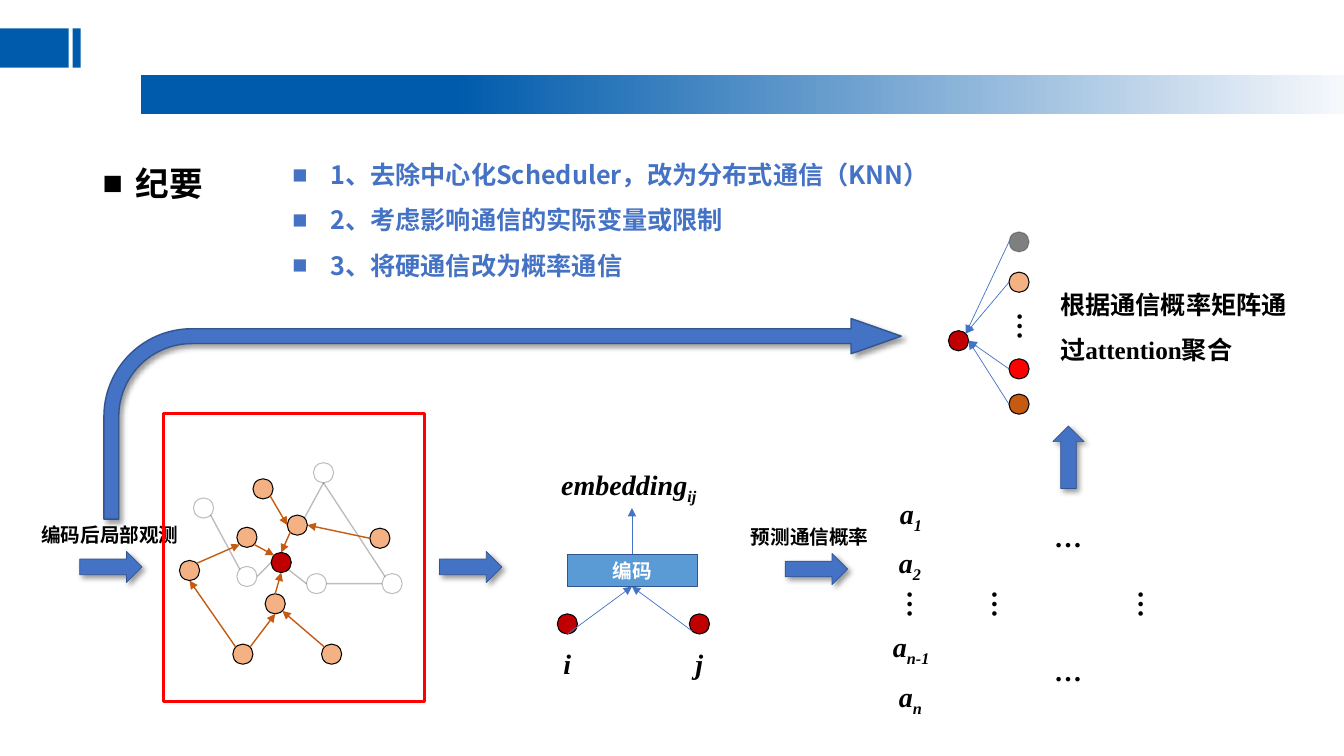
from lxml import etree
from pptx import Presentation
from pptx.dml.color import RGBColor
from pptx.enum.shapes import MSO_CONNECTOR, MSO_SHAPE
from pptx.enum.text import MSO_ANCHOR, MSO_AUTO_SIZE, PP_ALIGN
from pptx.oxml.ns import qn
from pptx.util import Pt

RECT, OVAL = MSO_SHAPE.RECTANGLE, MSO_SHAPE.OVAL
RIGHT_ARROW, BENT_ARROW = MSO_SHAPE.RIGHT_ARROW, MSO_SHAPE.BENT_ARROW
STRAIGHT = MSO_CONNECTOR.STRAIGHT
MIDDLE, CENTER, NO_FIT = MSO_ANCHOR.MIDDLE, PP_ALIGN.CENTER, MSO_AUTO_SIZE.NONE

BLACK, WHITE = RGBColor(0, 0, 0), RGBColor(255, 255, 255)
NAVY, PALE = RGBColor(0x00, 0x5B, 0xAC), RGBColor(0xF6, 0xF8, 0xFC)
BLUE, EDGE_BLUE = RGBColor(0x44, 0x72, 0xC4), RGBColor(0x32, 0x54, 0x91)
SKY = RGBColor(0x5B, 0x9B, 0xD5)
PEACH, RUST = RGBColor(0xF4, 0xB1, 0x83), RGBColor(0xC5, 0x5A, 0x11)
CRIMSON, RED = RGBColor(0xC0, 0, 0), RGBColor(0xFF, 0, 0)

SANS, SERIF = "Noto Sans CJK SC", "Times New Roman"
RADIUS, DIAG = 7.2, 5.1
SITES = {"N": (0, -RADIUS), "S": (0, RADIUS), "W": (-RADIUS, 0), "E": (RADIUS, 0),
         "NW": (-DIAG, -DIAG), "NE": (DIAG, -DIAG),
         "SW": (-DIAG, DIAG), "SE": (DIAG, DIAG)}


# Shared helpers
def style(r, size, color=BLACK, font=SANS, italic=False):
    f = r.font
    f.size, f.bold, f.italic, f.name = Pt(size), True, italic, font
    f.color.rgb = color
    etree.SubElement(r._r.get_or_add_rPr(), qn("a:ea"), typeface=font)


def set_alpha(parent, percent):
    color = parent.find(qn("a:solidFill"))[0]
    etree.SubElement(color, qn("a:alpha"), val=str(percent * 1000))


def shape(s, kind, x, y, w, h, fill=None, line=None, width=0.75):
    sp = s.shapes.add_shape(kind, Pt(x), Pt(y), Pt(w), Pt(h))
    sp.shadow.inherit = False
    if fill is None:
        sp.fill.background()
    else:
        sp.fill.solid()
        sp.fill.fore_color.rgb = fill
    if line is None:
        sp.line.fill.background()
    else:
        sp.line.color.rgb = line
        sp.line.width = Pt(width)
    return sp


def cast_shadow(sp):
    effects = sp._element.spPr.find(qn("a:effectLst"))
    shadow = etree.SubElement(effects, qn("a:outerShdw"), blurRad=str(Pt(4)),
                              dist=str(Pt(3)), dir="2700000", algn="tl", rotWithShape="0")
    color = etree.SubElement(shadow, qn("a:srgbClr"), val="000000")
    etree.SubElement(color, qn("a:alpha"), val="40000")


def block_arrow(s, x, y, rotation=0):
    sp = shape(s, RIGHT_ARROW, x, y, 44.6, 22.3, BLUE, EDGE_BLUE, 0.5)
    sp.rotation = rotation
    cast_shadow(sp)


def node(s, center, fill, faint=False):
    x, y = center
    sp = shape(s, OVAL, x - RADIUS, y - RADIUS, 2 * RADIUS, 2 * RADIUS, fill, BLACK)
    if faint:
        spPr = sp._element.spPr
        set_alpha(spPr, 50)
        set_alpha(spPr.find(qn("a:ln")), 25)


def site(center, name):
    dx, dy = SITES[name]
    return center[0] + dx, center[1] + dy


def edge(s, start, end, color, width, arrow=True):
    c = s.shapes.add_connector(STRAIGHT, *[Pt(v) for v in (*start, *end)])
    c.line.color.rgb, c.line.width = color, Pt(width)
    spPr = c._element.spPr
    ln = spPr.find(qn("a:ln"))
    if arrow:
        etree.SubElement(ln, qn("a:tailEnd"), type="triangle")
    else:
        set_alpha(ln, 25)
    etree.SubElement(spPr, qn("a:effectLst"))


def label(s, x, y, w, h, text, size=14):
    sp = s.shapes.add_textbox(Pt(x), Pt(y), Pt(w), Pt(h))
    sp.text_frame.word_wrap = True
    sp.text_frame.text = text
    style(sp.text_frame.paragraphs[0].runs[0], size)


def symbol(s, x, y, w, text, sub="", rotation=0):
    sp = s.shapes.add_textbox(Pt(x), Pt(y), Pt(w), Pt(31.7))
    sp.rotation = rotation
    sp.text_frame.word_wrap = True
    p = sp.text_frame.paragraphs[0]
    for part in filter(None, (text, sub)):
        r = p.add_run()
        r.text = part
        style(r, 20, font=SERIF, italic=True)
    if sub:
        r._r.get_or_add_rPr().set("baseline", "-25000")


def dots(s, x, y, rotation=0):
    symbol(s, x, y, 33.8, "…", rotation=rotation)


# Header bars
def header(s):
    bar = shape(s, RECT, 101, 53.3, 859, 28.1, NAVY)
    bar.fill.gradient()
    bar.fill.gradient_angle = 180
    for stop, color, pos in zip(bar.fill.gradient_stops, (PALE, NAVY), (0, 0.74)):
        stop.color.rgb, stop.position = color, pos
    for x, w in ((0, 49), (51.8, 5.8)):
        shape(s, RECT, x, 20.2, w, 28.1, NAVY)


# Bulleted placeholder
def bullets(ph, x, y, w, h, lines, size, color, indent):
    ph.left, ph.top, ph.width, ph.height = Pt(x), Pt(y), Pt(w), Pt(h)
    tf = ph.text_frame
    tf.text = "\n".join(lines)
    tf.auto_size = NO_FIT
    for p in tf.paragraphs:
        pPr = p._p.get_or_add_pPr()
        pPr.set("marL", str(Pt(indent)))
        pPr.set("indent", str(-Pt(indent)))
        etree.SubElement(pPr, qn("a:buChar"), char="■")
        p.line_spacing, p.space_before = 1.5, Pt(0)
        style(p.runs[0], size, color)


# Local observation graph in its red frame
def observation(s, x, y, w, h):
    places = {"a": (71.3, 54), "b": (95.8, 79.9), "c": (59.8, 88.6), "d": (18.8, 112.3),
              "e": (56.9, 172.1), "f": (80, 136.1), "g": (120.3, 172.1),
              "h": (154.8, 89.3), "hub": (84.3, 106.6), "p": (59.8, 116.6),
              "q": (109.5, 121.7), "r": (114.5, 42.5), "s": (163.5, 121.7),
              "t": (28.8, 67.7)}
    at = {name: (x + dx, y + dy) for name, (dx, dy) in places.items()}
    for name, center in at.items():
        faint = name in "pqrst"
        fill = WHITE if faint else CRIMSON if name == "hub" else PEACH
        node(s, center, fill, faint)
    silent = ("r S s NW", "q E s W", "hub W p E", "hub SE q W", "t SE p NW", "r S b NE")
    active = ("e NE f S", "g NW f SE", "f N hub S", "h W b E", "a SE b W",
              "d NE c SW", "e NW d S", "c SE hub NW", "b SW hub N")
    for links, color, arrow in ((silent, BLACK, False), (active, RUST, True)):
        for link in links:
            n1, site1, n2, site2 = link.split()
            edge(s, site(at[n1], site1), site(at[n2], site2), color, 1, arrow)
    shape(s, RECT, x, y, w, h, line=RED, width=2.25)


# Pair encoder
def encoder(s, x, y):
    mid, top = x + 57.6, y + 65.5
    for name, dx, start in (("i", 11.5, "S"), ("j", 105.8, "SW")):
        center = (x + dx, y + 115.2)
        node(s, center, CRIMSON)
        edge(s, site(center, start), (mid, top + 23), BLUE, 0.5)
        symbol(s, center[0] - 10, y + 127.4, 23, name)
    sp = shape(s, RECT, x + 11.5, top, 92.9, 23, SKY, EDGE_BLUE, 1)
    tf = sp.text_frame
    tf.text, tf.vertical_anchor = "编码", MIDDLE
    tf.paragraphs[0].alignment = CENTER
    style(tf.paragraphs[0].runs[0], 14, WHITE)
    edge(s, (mid, top), (mid, y + 32.4), BLUE, 0.5)
    symbol(s, x, y, 118, "embedding", "ij")


# Probability matrix
def matrix(s, x, y):
    for sub, dx, dy in (("1", 5, 0), ("2", 4.3, 34.6), ("n-1", 0, 95), ("n", 4.3, 130.3)):
        symbol(s, x + dx, y + dy, 46, "a", sub)
    for dy in (15.8, 111.6):
        dots(s, x + 115.9, y + dy)
    for dx in (8.6, 69.1, 173.5):
        dots(s, x + dx, y + 64.8, 90)


# Attention aggregation
def aggregation(s, x, y):
    hub = (x + 7.2, y + 77.8)
    node(s, hub, CRIMSON)
    for dy, color, end in ((7.2, BLACK, "NE"), (36, PEACH, "NE"),
                           (97.9, RED, "E"), (123.1, RUST, "E")):
        center = (x + 50.4, y + dy)
        node(s, center, color, faint=color == BLACK)
        edge(s, site(center, "W"), site(hub, end), BLUE, 0.5)
    dots(s, x + 40.3, y + 52.6, 90)
    tf = shape(s, RECT, x + 72.7, y + 28.1, 183.6, 68.4, WHITE).text_frame
    tf.word_wrap, tf.vertical_anchor = True, MIDDLE
    p = tf.paragraphs[0]
    p.alignment, p.line_spacing, p.space_after = PP_ALIGN.LEFT, 1.5, Pt(6)
    for text, font in (("根据通信概率矩阵通过", SANS), ("attention", SERIF), ("聚合", SANS)):
        r = p.add_run()
        r.text = text
        style(r, 18, font=font)


# Arrows and captions between the stages
def flow(s):
    for x, y, rotation in ((56.9, 393.8, 0), (313.9, 393.8, 0),
                           (560.9, 395.3, 0), (740.9, 315.4, 270)):
        block_arrow(s, x, y, rotation)
    label(s, 22.3, 370, 118, 24.5, "编码后局部观测")
    label(s, 529.2, 371.5, 107.3, 24.5, "预测通信概率")
    sp = shape(s, BENT_ARROW, 74.2, 227.5, 569.5, 143.3, BLUE, EDGE_BLUE, 1)
    for i, value in enumerate((0.074, 0.088, 0.25, 0.438)):
        sp.adjustments[i] = value
    cast_shadow(sp)


def main():
    prs = Presentation()
    prs.slide_width, prs.slide_height = Pt(960), Pt(540)
    s = prs.slides.add_slide(prs.slide_layouts[3])
    title, heading, points = s.placeholders
    title._element.getparent().remove(title._element)
    header(s)
    bullets(heading, 66.2, 98.6, 628.6, 402.5, [" 纪要"], 24, BLACK, 18)
    bullets(points, 201.6, 99.4, 729.4, 100.1,
            ["1、去除中心化Scheduler，改为分布式通信（KNN）",
             "2、考虑影响通信的实际变量或限制", "3、将硬通信改为概率通信"], 18, BLUE, 27)
    flow(s)
    observation(s, 116.6, 295.2, 186.5, 205.9)
    encoder(s, 393.8, 330.5)
    matrix(s, 630.7, 351.4)
    aggregation(s, 677.5, 165.6)
    prs.save("out.pptx")


if __name__ == "__main__":
    main()
